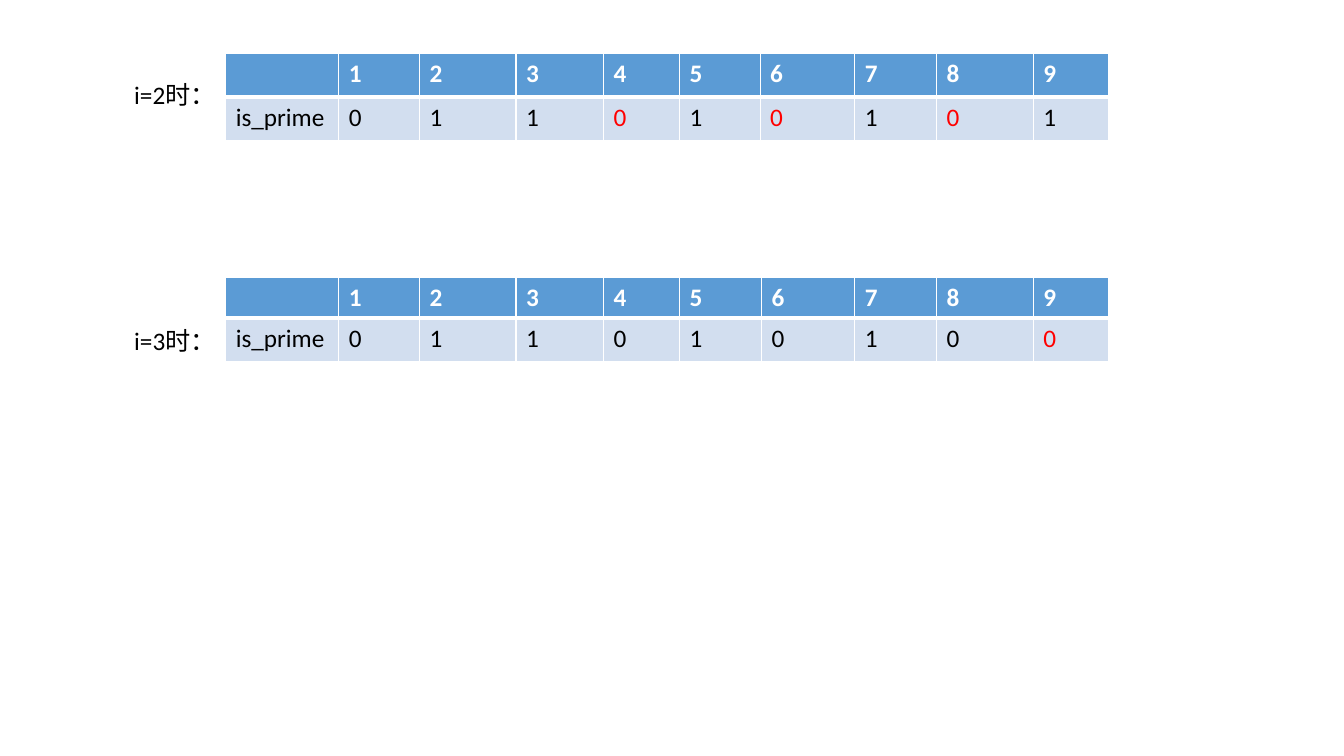
from pptx import Presentation
from pptx.util import Pt
from pptx.dml.color import RGBColor as RGB
from pptx.enum.text import MSO_AUTO_SIZE as Fit
from lxml.etree import SubElement as Sub
from pptx.oxml.ns import qn

COLOR = {"head": "5B9BD5", "body": "D2DEEF", "white": "FFFFFF",
         "black": "000000", "red": "FF0000"}


def write(frame, text, tone="black", bold=False):
    run = frame.paragraphs[0].add_run()
    run.text = text
    for key, value in {"name": "Calibri", "size": Pt(18), "bold": bold}.items():
        setattr(run.font, key, value)
    run.font.color.rgb = RGB.from_string(COLOR[tone])


def edge(cell, sides):
    props = cell._tc.get_or_add_tcPr()
    for side, width in sides.items():
        line = Sub(props, qn(f"a:ln{side}"), w=str(Pt(width)))
        Sub(Sub(line, qn("a:solidFill")), qn("a:srgbClr"), val=COLOR["white"])


deck = Presentation()
deck.slide_width, deck.slide_height = Pt(960), Pt(540)
slide = deck.slides.add_slide(deck.slide_layouts[6])

head = ["", *"123456789"]
steps = [
    {"label": "i=2时：", "top": 38.4, "mark": 53.3, "high": 30.9, "six": 57.6,
     "bits": "011010101", "hits": (4, 6, 8)},
    {"label": "i=3时：", "top": 198.2, "mark": 229, "high": 29, "six": 58.6,
     "bits": "011010100", "hits": (9,)},
]

for step in steps:
    grid = slide.shapes.add_table(2, 10, Pt(161.2), Pt(step["top"]), Pt(631),
                                  Pt(step["high"] + 30.9)).table
    six = step["six"]
    wides = [80.8, 57.6, 69, 62.6, 54.2, six, 125.2 - six, 58.4, 69.2, 54]
    for col, wide in zip(grid.columns, wides):
        col.width = Pt(wide)
    for row, high in zip(grid.rows, (step["high"], 30.9)):
        row.height = Pt(high)
    for r, texts in enumerate((head, ["is_prime", *step["bits"]])):
        for c, text in enumerate(texts):
            cell = grid.cell(r, c)
            edge(cell, {"L": 1, "R": 1, "T": 3 if r else 1, "B": 1 if r else 3})
            cell.fill.solid()
            cell.fill.fore_color.rgb = RGB.from_string(COLOR["body" if r else "head"])
            if text:
                tone = "white" if r == 0 else "red" if c in step["hits"] else "black"
                write(cell.text_frame, text, tone, r == 0)

    box = slide.shapes.add_textbox(Pt(88.8), Pt(step["mark"]), Pt(72.4), Pt(29))
    for key, value in {"word_wrap": False, "auto_size": Fit.SHAPE_TO_FIT_TEXT}.items():
        setattr(box.text_frame, key, value)
    write(box.text_frame, step["label"])

deck.save("out.pptx")
